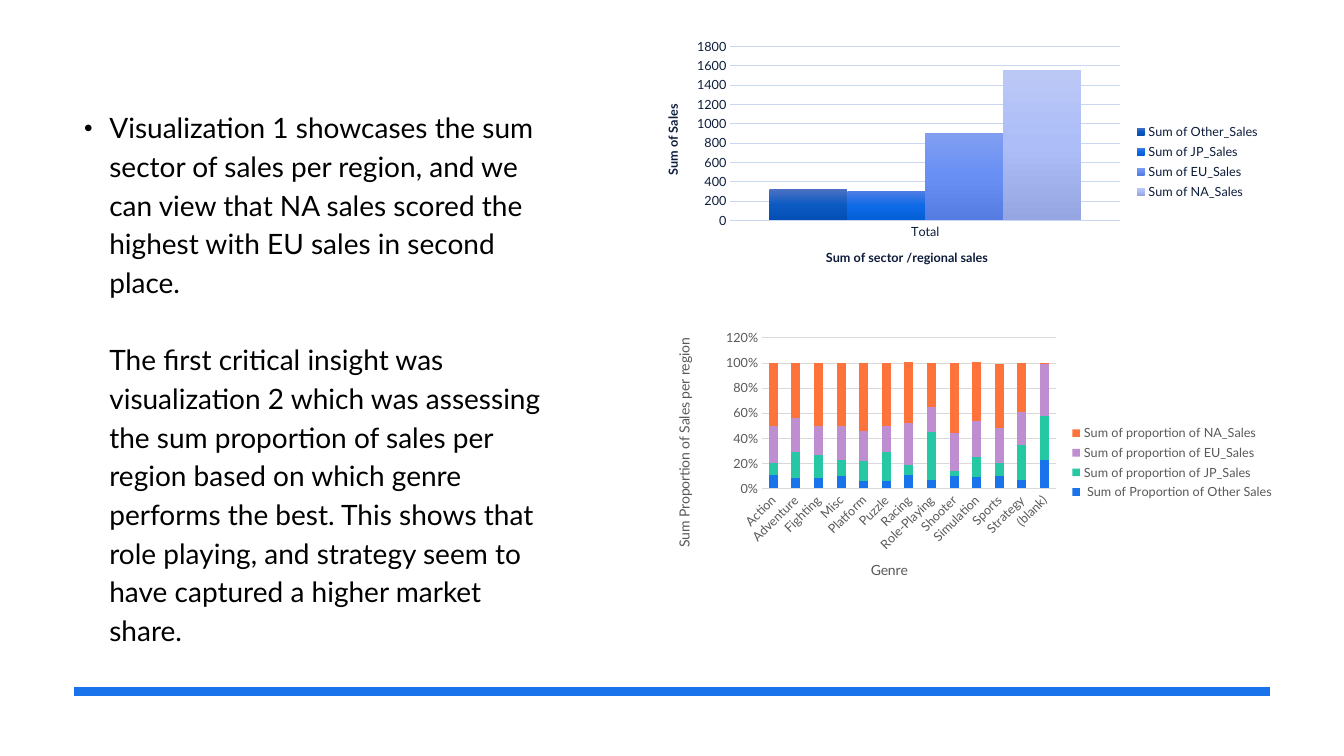
from copy import deepcopy

from lxml import etree
from pptx import Presentation
from pptx.chart.data import CategoryChartData
from pptx.dml.color import RGBColor
from pptx.enum.chart import XL_CHART_TYPE, XL_LEGEND_POSITION, XL_TICK_MARK
from pptx.enum.shapes import MSO_CONNECTOR
from pptx.oxml.ns import qn
from pptx.util import Pt

CLUSTERED = XL_CHART_TYPE.COLUMN_CLUSTERED
STACKED = XL_CHART_TYPE.COLUMN_STACKED
LEGEND_RIGHT = XL_LEGEND_POSITION.RIGHT
NO_TICK = XL_TICK_MARK.NONE
STRAIGHT = MSO_CONNECTOR.STRAIGHT
FONT = "Lato"


def rgb(value):
    return RGBColor.from_string(value)


def write(para, text, size=20, color="000000", bold=False):
    span = para.add_run()
    span.text = text
    span.font.name = FONT
    span.font.size = Pt(size)
    span.font.bold = bold
    span.font.color.rgb = rgb(color)


deck = Presentation()
deck.slide_width, deck.slide_height = Pt(960), Pt(540)
page = deck.slides.add_slide(deck.slide_layouts[6])

# Commentary: one bullet and an indented follow-up
insights = [
    "Visualization 1 showcases the sum sector of sales per region, and we can view that "
    "NA sales scored the highest with EU sales in second place.",
    "The first critical insight was visualization 2 which was assessing the sum proportion "
    "of sales per region based on which genre performs the best. This shows that role "
    "playing, and strategy seem to have captured a higher market share.",
]
box = page.shapes.add_textbox(Pt(53), Pt(72), Pt(353.5), Pt(401.8))
frame = box.text_frame
frame.word_wrap = True
for index, text in enumerate(insights):
    para = frame.paragraphs[0] if index == 0 else frame.add_paragraph()
    para.line_spacing = 1.15
    para.space_before = Pt(27.6 * index)
    properties = para._p.get_or_add_pPr()
    properties.set("marL", str(Pt(18)))
    if index == 0:
        properties.set("indent", str(-Pt(18)))
        etree.SubElement(properties, qn("a:buSzPct")).set("val", "87000")
        etree.SubElement(properties, qn("a:buFont")).set("typeface", "Arial")
        etree.SubElement(properties, qn("a:buChar")).set("char", "•")
    else:
        properties.set("indent", "0")
        etree.SubElement(properties, qn("a:buNone"))
    write(para, text)

# Rule along the bottom
rule = page.shapes.add_connector(STRAIGHT, Pt(53), Pt(494), Pt(907), Pt(494))
rule.line.color.rgb = rgb("1973EB")
rule.line.width = Pt(6)
etree.SubElement(rule._element.spPr, qn("a:effectLst"))

# Charts: a series holds name, values and one colour or three gradient stops;
# layouts are left, top, width, height in percent of the chart
charts = [
    dict(
        kind=CLUSTERED, place=(459.4, 23.8, 447.8, 181.4), gap=100, overlap=0,
        color="0D1C3B", grid="C9D7F3", top=1800, step=200, format="General", turn=0,
        titles=("Sum of sector /regional sales", "Sum of Sales"), title_size=9, bold=True,
        plot=(13.9, 5.2, 62.2, 68.5), legend=(77.9, 34, 21, 33),
        title_corners=((28.8, 83.8), (2.9, 27.1)),
        categories=["Total"],
        series=[
            ("Sum of Other_Sales", [320], ["4C70C4", "0B5AC2", "034FB4"]),
            ("Sum of JP_Sales", [300], ["4D7DE5", "0E6AE6", "035DD5"]),
            ("Sum of EU_Sales", [900], ["819FF1", "678FF4", "547CE1"]),
            ("Sum of NA_Sales", [1560], ["BBC8F6", "ACBDF7", "94A5E1"]),
        ],
    ),
    dict(
        kind=STACKED, place=(465.8, 231.8, 451.4, 196.6), gap=150, overlap=100,
        color="595959", grid="D9D9D9", top=1.2, step=0.2, format="0%", turn=-45,
        titles=("Genre", "Sum Proportion of Sales per region"), title_size=10, bold=False,
        plot=(17.4, 4.9, 46.5, 54.7), legend=(65.8, 35.2, 33, 30),
        title_corners=((34.2, 84.8), (3.1, 4)),
        categories=["Action", "Adventure", "Fighting", "Misc", "Platform", "Puzzle", "Racing",
                    "Role-Playing", "Shooter", "Simulation", "Sports", "Strategy", "(blank)"],
        series=[
            (" Sum of Proportion of Other Sales",
             [0.11, 0.08, 0.08, 0.1, 0.06, 0.06, 0.11, 0.07, 0.1, 0.09, 0.1, 0.07, 0.23],
             ["1973EB"]),
            ("Sum of proportion of JP_Sales",
             [0.09, 0.21, 0.19, 0.13, 0.16, 0.23, 0.08, 0.38, 0.04, 0.16, 0.1, 0.28, 0.35],
             ["25C8A2"]),
            ("Sum of proportion of EU_Sales",
             [0.3, 0.27, 0.23, 0.27, 0.24, 0.21, 0.33, 0.2, 0.3, 0.29, 0.28, 0.26, 0.41],
             ["BF8ED1"]),
            ("Sum of proportion of NA_Sales",
             [0.5, 0.44, 0.5, 0.5, 0.54, 0.5, 0.49, 0.35, 0.56, 0.47, 0.51, 0.39, 0.01],
             ["FE733C"]),
        ],
    ),
]

for design in charts:
    data = CategoryChartData(number_format=design["format"])
    data.categories = design["categories"]
    for name, values, colors in design["series"]:
        data.add_series(name, values)
    place = [Pt(length) for length in design["place"]]
    chart = page.shapes.add_chart(design["kind"], *place, data).chart
    chart.has_title = False
    chart.font.name = FONT
    chart.font.size = Pt(9)
    chart.font.color.rgb = rgb(design["color"])

    # Columns
    plot = chart.plots[0]
    plot.vary_by_categories = False
    plot.gap_width = design["gap"]
    plot.overlap = design["overlap"]
    for series, (name, values, colors) in zip(plot.series, design["series"]):
        fill = series.format.fill
        if len(colors) == 1:
            fill.solid()
            fill.fore_color.rgb = rgb(colors[0])
            continue
        fill.gradient()
        fill.gradient_angle = 270
        stop_list = next(series._element.iter(qn("a:gsLst")))
        stop_list.append(deepcopy(stop_list[0]))
        for stop, color, position in zip(fill.gradient_stops, colors, (0, 0.5, 1)):
            stop.color.rgb = rgb(color)
            stop.position = position

    # Axes and their titles
    category_axis, value_axis = chart.category_axis, chart.value_axis
    for axis, title, turn in zip((category_axis, value_axis), design["titles"], (0, -90)):
        axis.major_tick_mark = axis.minor_tick_mark = NO_TICK
        title_frame = axis.axis_title.text_frame
        title_frame._txBody.bodyPr.set("rot", str(turn * 60000))
        write(title_frame.paragraphs[0], title, size=design["title_size"],
              color=design["color"], bold=design["bold"])
    value_axis.minimum_scale = 0
    value_axis.maximum_scale = design["top"]
    value_axis.major_unit = design["step"]
    value_axis.tick_labels.number_format = design["format"]
    value_axis.tick_labels.number_format_is_linked = False
    value_axis.format.line.fill.background()
    for line in (category_axis.format.line, value_axis.major_gridlines.format.line):
        line.color.rgb = rgb(design["grid"])
        line.width = Pt(0.75)
    category_axis.tick_labels.font.size = Pt(9)
    label_body = category_axis._element.find(qn("c:txPr")).find(qn("a:bodyPr"))
    label_body.set("rot", str(design["turn"] * 60000))

    # Legend
    chart.has_legend = True
    chart.legend.position = LEGEND_RIGHT
    chart.legend.include_in_layout = False

    # Places of plot, legend and axis titles
    parts = [
        (chart._chartSpace.chart.plotArea, design["plot"]),
        (chart.legend._element, design["legend"]),
        (category_axis.axis_title._element, design["title_corners"][0]),
        (value_axis.axis_title._element, design["title_corners"][1]),
    ]
    for part, percents in parts:
        for old_layout in part.findall(qn("c:layout")):
            part.remove(old_layout)
        layout = etree.Element(qn("c:layout"))
        manual = etree.SubElement(layout, qn("c:manualLayout"))
        if part is parts[0][0]:
            etree.SubElement(manual, qn("c:layoutTarget")).set("val", "inner")
        for tag in ("xMode", "yMode"):
            etree.SubElement(manual, qn("c:" + tag)).set("val", "edge")
        for tag, percent in zip("xywh", percents):
            etree.SubElement(manual, qn("c:" + tag)).set("val", str(percent / 100))
        overlay = part.find(qn("c:overlay"))
        if overlay is None:
            part.insert(0, layout)
        else:
            overlay.addprevious(layout)

deck.save("out.pptx")
